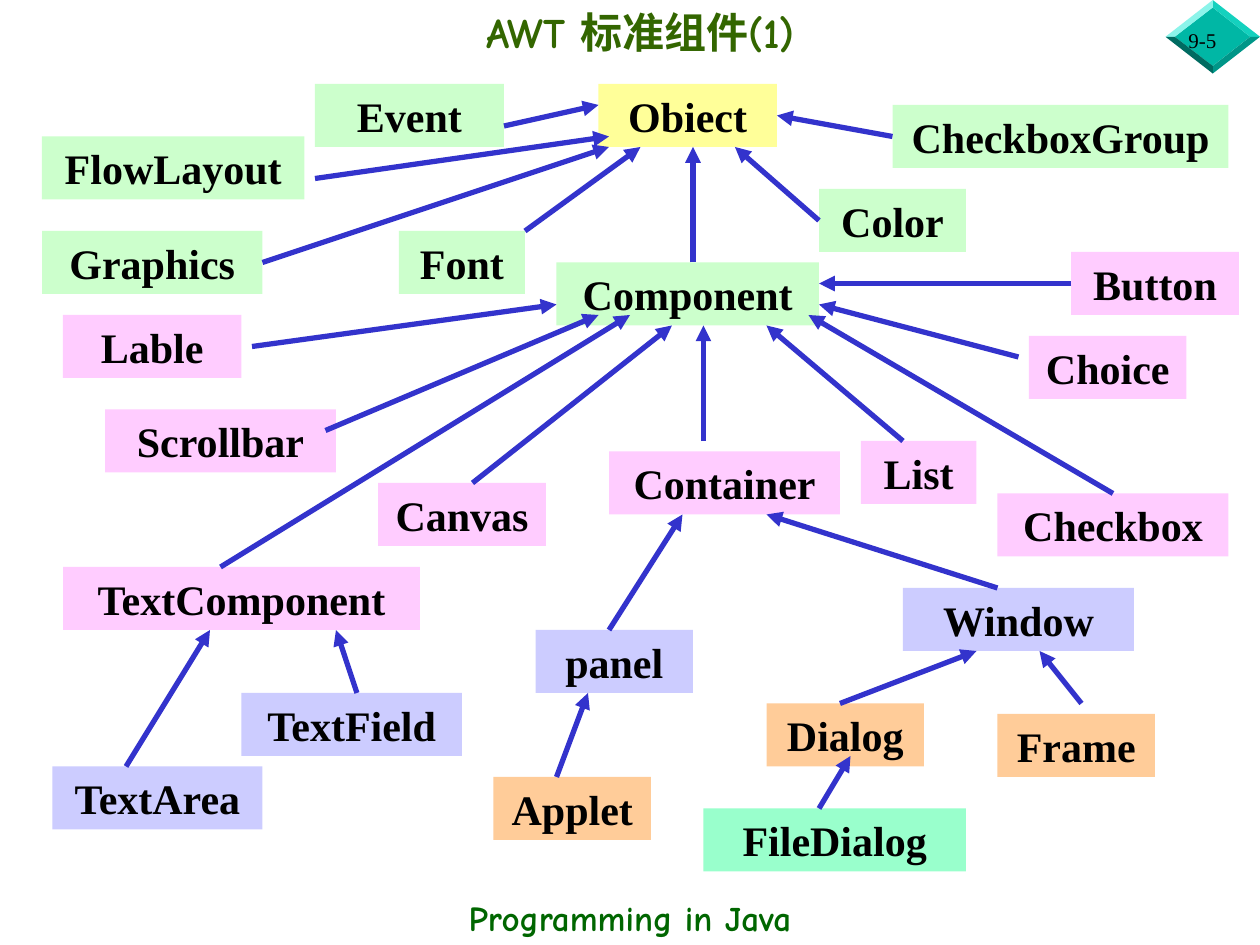
from lxml import etree
from pptx import Presentation
from pptx.dml.color import RGBColor
from pptx.enum import shapes, text
from pptx.oxml import ns
from pptx.util import Pt

BLACK = RGBColor(0x00, 0x00, 0x00)
TITLE_GREEN = RGBColor(0x33, 0x66, 0x00)
FOOTER_GREEN = RGBColor(0x00, 0x66, 0x00)
ARROW_BLUE = RGBColor(0x33, 0x33, 0xCC)
YELLOW = RGBColor(0xFF, 0xFF, 0x99)
GREEN = RGBColor(0xCC, 0xFF, 0xCC)
PINK = RGBColor(0xFF, 0xCC, 0xFF)
LILAC = RGBColor(0xCC, 0xCC, 0xFF)
ORANGE = RGBColor(0xFF, 0xCC, 0x99)
MINT = RGBColor(0x99, 0xFF, 0xCC)
GEM_FACE = RGBColor(0x00, 0xB7, 0xA5)
GEM_TOP_RIGHT = RGBColor(0x14, 0xD1, 0xBE)
GEM_TOP_LEFT = RGBColor(0x8C, 0xF4, 0xEA)
GEM_LOW_RIGHT = RGBColor(0x00, 0x96, 0x88)
GEM_LOW_LEFT = RGBColor(0x00, 0x6B, 0x61)

COMIC = "Comic Neue"
TIMES = "Times New Roman"
GRID = 6
CLASS_HEIGHT = 6

# fmt: off
CLASSES = {
    YELLOW: [("Obiect", 57, 8, 17)],
    GREEN: [("Event", 30, 8, 18), ("FlowLayout", 4, 13, 25), ("Graphics", 4, 22, 21),
            ("Font", 38, 22, 12), ("Color", 78, 18, 14), ("CheckboxGroup", 85, 10, 32),
            ("Component", 53, 25, 25)],
    PINK: [("Lable", 6, 30, 17), ("Scrollbar", 10, 39, 22), ("TextComponent", 6, 54, 34),
           ("Canvas", 36, 46, 16), ("Container", 58, 43, 22), ("List", 82, 42, 11),
           ("Checkbox", 95, 47, 22), ("Choice", 98, 32, 15), ("Button", 102, 24, 16)],
    LILAC: [("TextArea", 5, 73, 20), ("TextField", 23, 66, 21), ("panel", 51, 60, 15),
            ("Window", 86, 56, 22)],
    ORANGE: [("Applet", 47, 74, 15), ("Dialog", 73, 67, 15), ("Frame", 95, 68, 15)],
    MINT: [("FileDialog", 67, 77, 25)],
}

INHERITANCE = {
    "Obiect": [(48, 12, 57, 10), (30, 17, 58, 13), (25, 25, 58, 14), (50, 22, 61, 14),
               (66, 25, 66, 14), (78, 21, 70, 14), (85, 13, 74, 11)],
    "Component": [(24, 33, 53, 29), (31, 41, 57, 30), (21, 54, 60, 30), (45, 46, 64, 31),
                  (67, 42, 67, 31), (86, 42, 73, 31), (106, 47, 77, 30),
                  (97, 34, 78, 29), (102, 27, 78, 27)],
    "TextComponent": [(12, 73, 20, 60), (34, 66, 32, 60)],
    "Container": [(58, 60, 65, 49), (95, 56, 73, 49)],
    "panel": [(53, 74, 56, 66)],
    "Window": [(80, 67, 93, 62), (103, 67, 99, 62)],
    "Dialog": [(78, 77, 81, 72)],
}
# fmt: on

OUTER = {"top": (693, 0), "right": (720, 21), "bottom": (693, 42), "left": (666, 21)}
INNER = {"top": (693, 4.3), "right": (714.4, 21), "bottom": (693, 37.7), "left": (671.3, 21)}
FACETS = [
    ("top", "right", GEM_TOP_RIGHT),
    ("top", "left", GEM_TOP_LEFT),
    ("right", "bottom", GEM_LOW_RIGHT),
    ("left", "bottom", GEM_LOW_LEFT),
]


def write(holder, words, size, font, color, bold=True, align=text.PP_ALIGN.CENTER):
    frame = holder.text_frame
    frame.word_wrap = True
    frame.vertical_anchor = text.MSO_ANCHOR.MIDDLE
    frame.text = words
    line = frame.paragraphs[0]
    line.alignment = align
    line.font.size = Pt(size)
    line.font.name = font
    line.font.bold = bold
    line.font.color.rgb = color


def paint(shape, color):
    shape.shadow.inherit = False
    shape.fill.solid()
    shape.fill.fore_color.rgb = color
    shape.line.fill.background()


def add_facet(slide, corners, color):
    points = [(Pt(x), Pt(y)) for x, y in corners]
    outline = slide.shapes.build_freeform(*points[0])
    outline.add_line_segments(points[1:], close=True)
    paint(outline.convert_to_shape(), color)


def add_class(slide, name, left, top, width, color):
    area = [Pt(n * GRID) for n in (left, top, width, CLASS_HEIGHT)]
    box = slide.shapes.add_shape(shapes.MSO_SHAPE.RECTANGLE, *area)
    paint(box, color)
    write(box, name, 24, TIMES, BLACK)


def add_arrow(slide, ends):
    points = [Pt(n * GRID) for n in ends]
    arrow = slide.shapes.add_connector(shapes.MSO_CONNECTOR.STRAIGHT, *points)
    arrow.line.color.rgb = ARROW_BLUE
    arrow.line.width = Pt(3)
    etree.SubElement(arrow.line._get_or_add_ln(), ns.qn("a:tailEnd"), type="triangle")
    etree.SubElement(arrow._element.spPr, ns.qn("a:effectLst"))


def main():
    deck = Presentation()
    deck.slide_width, deck.slide_height = Pt(720), Pt(540)
    slide = deck.slides.add_slide(deck.slide_layouts[5])

    title = slide.shapes.title
    title.left, title.top, title.width, title.height = Pt(60), Pt(0), Pt(612), Pt(36)
    write(title, "AWT 标准组件(1)", 24, COMIC, TITLE_GREEN)

    add_facet(slide, INNER.values(), GEM_FACE)
    for start, end, color in FACETS:
        add_facet(slide, [INNER[start], OUTER[start], OUTER[end], INNER[end]], color)
    number = slide.shapes.add_textbox(Pt(672), Pt(12), Pt(48), Pt(22))
    write(number, "9-5", 12, TIMES, BLACK, False, text.PP_ALIGN.LEFT)
    footer = slide.shapes.add_textbox(Pt(0), Pt(509), Pt(720), Pt(31))
    write(footer, "Programming in Java", 20, COMIC, FOOTER_GREEN)

    for color, members in CLASSES.items():
        for member in members:
            add_class(slide, *member, color)
    for arrows in INHERITANCE.values():
        for ends in arrows:
            add_arrow(slide, ends)

    deck.save("out.pptx")


if __name__ == "__main__":
    main()
